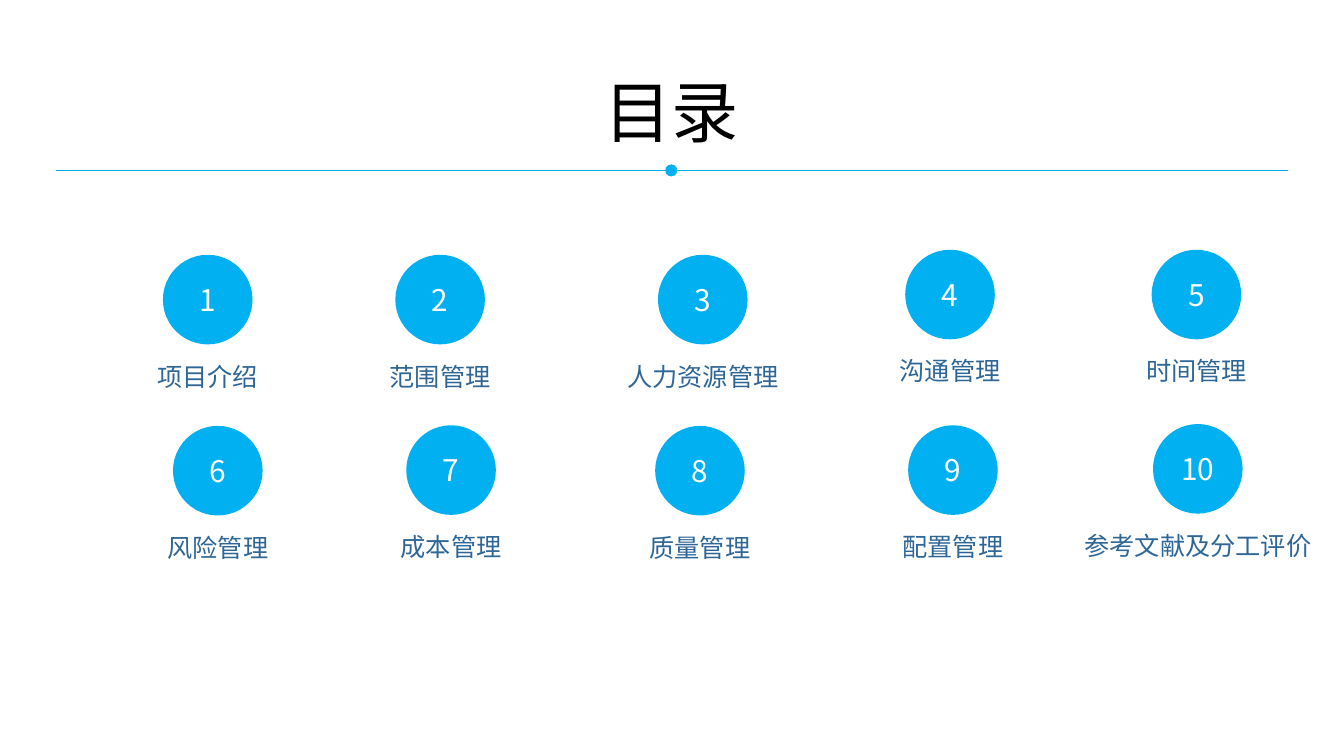
from dataclasses import dataclass

from lxml import etree
from pptx import Presentation
from pptx.dml.color import RGBColor
from pptx.enum import shapes, text
from pptx.oxml.ns import qn
from pptx.util import Pt


@dataclass(frozen=True)
class Theme:
    accent: str = "00B0F0"
    title: str = "000000"
    label: str = "2E6697"
    number: str = "FFFFFF"
    title_size: float = 48
    label_size: float = 18
    number_size: float = 21.3
    font: str = "Noto Sans CJK SC"
    number_font: str = "Noto Sans CJK KR"
    line_width: float = 0.75


class Deck:
    def __init__(self, slide, theme):
        self.s = slide
        self.theme = theme

    def set_text(self, sp, content, size, color, font):
        tf = sp.text_frame
        tf.text = content
        tf.vertical_anchor = text.MSO_ANCHOR.MIDDLE
        p = tf.paragraphs[0]
        p.alignment = text.PP_ALIGN.CENTER
        r = p.runs[0]
        r.font.size = Pt(size)
        r.font.color.rgb = RGBColor.from_string(color)
        r.font.name = font
        ea = etree.SubElement(r.font._element, qn("a:ea"))
        ea.set("typeface", font)

    def label(self, x, y, w, h, content, size, color):
        sp = self.s.shapes.add_textbox(Pt(x), Pt(y), Pt(w), Pt(h))
        sp.text_frame.word_wrap = True
        self.set_text(sp, content, size, color, self.theme.font)

    def circle(self, cx, cy, diameter, content=None):
        sp = self.s.shapes.add_shape(
            shapes.MSO_SHAPE.OVAL, Pt(cx - diameter / 2), Pt(cy - diameter / 2),
            Pt(diameter), Pt(diameter))
        sp.shadow.inherit = False
        sp.fill.solid()
        sp.fill.fore_color.rgb = RGBColor.from_string(self.theme.accent)
        sp.line.fill.background()
        if content:
            t = self.theme
            self.set_text(sp, content, t.number_size, t.number, t.number_font)

    def rule(self, x1, x2, y):
        sp = self.s.shapes.add_connector(
            shapes.MSO_CONNECTOR.STRAIGHT, Pt(x1), Pt(y), Pt(x2), Pt(y))
        sp.line.color.rgb = RGBColor.from_string(self.theme.accent)
        sp.line.width = Pt(self.theme.line_width)
        etree.SubElement(sp._element.spPr, qn("a:effectLst"))

    def entry(self, number, name, cx, cy):
        t = self.theme
        self.circle(cx, cy, 64, str(number))
        self.label(cx - 96, cy + 40, 192, 29, name, t.label_size, t.label)


CHAPTERS = [
    ("项目介绍", 148.4, 214),
    ("范围管理", 314.4, 214),
    ("人力资源管理", 502, 214),
    ("沟通管理", 678.6, 210.4),
    ("时间管理", 854.6, 210.4),
    ("风险管理", 155.6, 336.2),
    ("成本管理", 322.2, 335.8),
    ("质量管理", 500, 336.2),
    ("配置管理", 680.7, 335.8),
    ("参考文献及分工评价", 855.6, 334.9),
]

prs = Presentation()
prs.slide_width, prs.slide_height = Pt(960), Pt(540)
theme = Theme()
deck = Deck(prs.slides.add_slide(prs.slide_layouts[6]), theme)

deck.label(96, 46, 768, 65.5, "目录", theme.title_size, theme.title)
deck.rule(40, 920, 121.7)
deck.circle(479.5, 121.7, 8.6)
for number, (name, cx, cy) in enumerate(CHAPTERS, 1):
    deck.entry(number, name, cx, cy)

prs.save("out.pptx")
